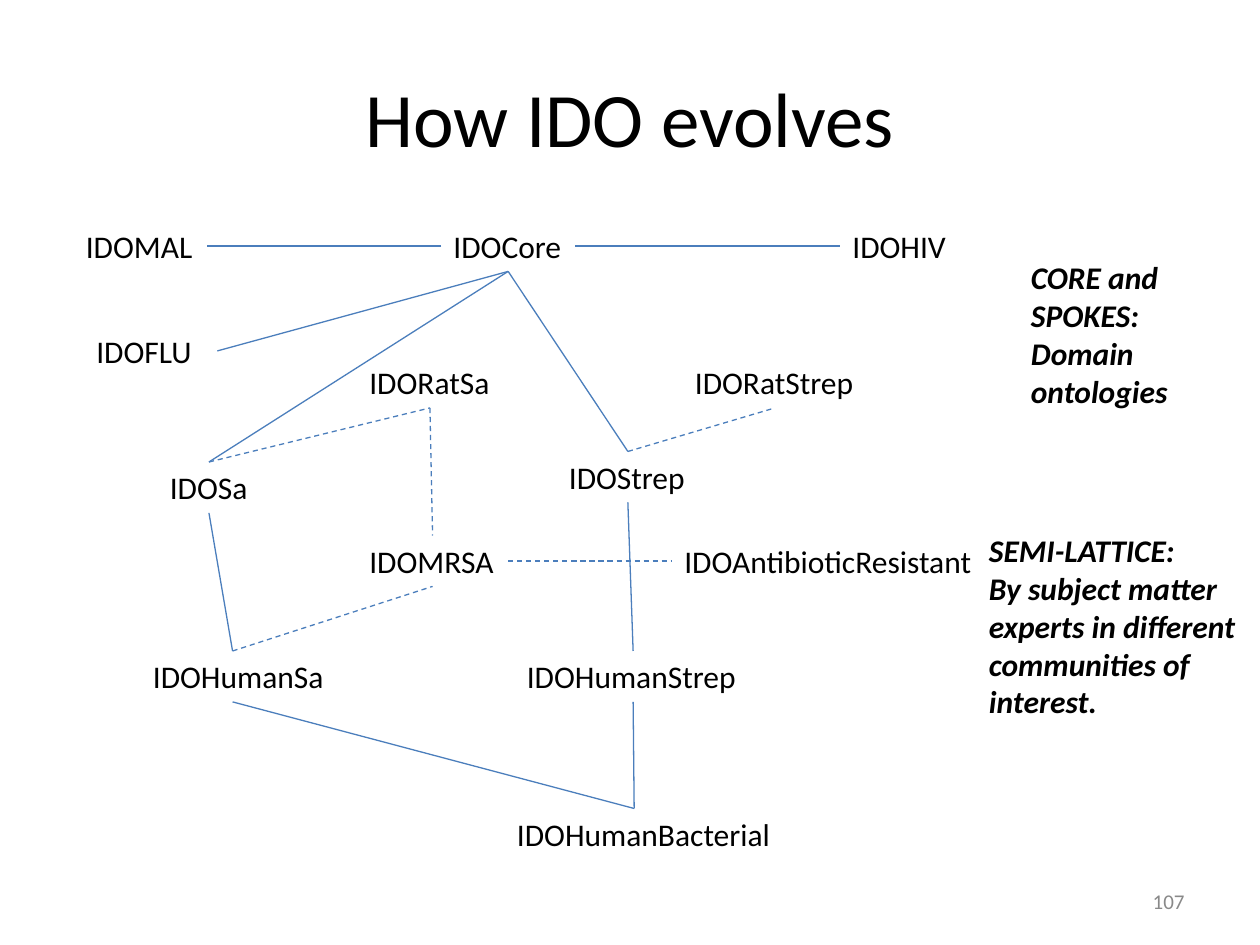
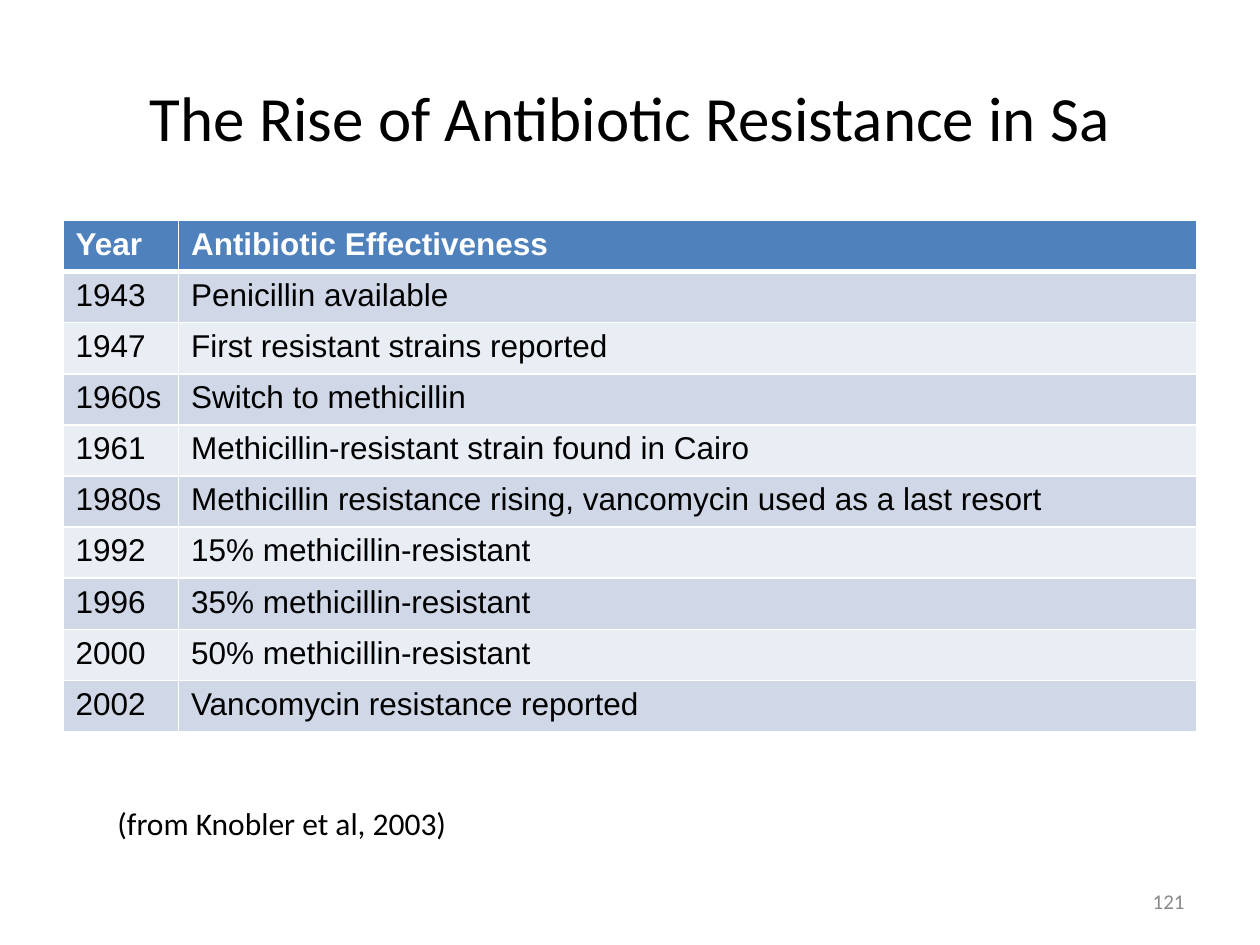
from dataclasses import dataclass

from lxml import etree
from pptx import Presentation
from pptx.dml.color import RGBColor
from pptx.enum.dml import MSO_LINE
from pptx.enum.shapes import MSO_CONNECTOR
from pptx.enum.text import MSO_ANCHOR, MSO_AUTO_SIZE, PP_ALIGN
from pptx.oxml.ns import qn
from pptx.util import Inches, Pt

LEFT, CENTER, RIGHT = PP_ALIGN.LEFT, PP_ALIGN.CENTER, PP_ALIGN.RIGHT
MIDDLE = MSO_ANCHOR.MIDDLE
FIT = MSO_AUTO_SIZE.SHAPE_TO_FIT_TEXT
DASH = MSO_LINE.DASH
STRAIGHT = MSO_CONNECTOR.STRAIGHT


@dataclass(frozen=True)
class Theme:
    font: str = "Calibri"
    table_font: str = "Arial"
    ink: str = "000000"
    muted: str = "898989"
    edge: str = "4B7EBC"
    header: str = "4F81BD"
    bands: tuple = ("D0D8E8", "E9EDF4")
    white: str = "FFFFFF"
    body: int = 18
    small: int = 12
    edge_width: float = 0.75


T = Theme()
GRID = Inches(1) // 12  # the slide is 120 columns by 90 rows
LINE_H = 4.85


def add_text(s, text, box, size=T.body, color=T.ink, align=LEFT,
             strong=False, wrap=True, fit=True, indent=0):
    """Place text in a box given as grid column, row, width and height."""
    sp = s.shapes.add_textbox(*(int(v * GRID) for v in box))
    tf = sp.text_frame
    tf.text = text
    tf.word_wrap = wrap
    if fit:
        tf.auto_size = FIT
    else:
        tf.vertical_anchor = MIDDLE
    tf.margin_left += int(indent * GRID)
    for p in tf.paragraphs:
        p.alignment = align
        for r in p.runs:
            r.font.name, r.font.size = T.font, Pt(size)
            r.font.color.rgb = RGBColor.from_string(color)
            if strong:
                r.font.bold = r.font.italic = True


def add_slide(prs, title, title_size, number):
    s = prs.slides.add_slide(prs.slide_layouts[6])
    add_text(s, title, (6, 3.6, 108, 15), title_size, align=CENTER, fit=False)
    add_text(s, number, (86, 83.4, 28, 4.8), T.small, T.muted, RIGHT, fit=False)
    return s


prs = Presentation()
prs.slide_width, prs.slide_height = 120 * GRID, 90 * GRID

# Ontology graph
s = add_slide(prs, "How IDO evolves", 44, "107")

# name: column, row, width, text indent
nodes = {
    "IDOCore": (42, 21, 12.8, 0),
    "IDOSa": (15, 44, 9.8, 0),
    "IDOHumanSa": (12, 62, 20.3, 1.36),
    "IDORatSa": (34, 34, 13.9, 0),
    "IDOStrep": (53, 43, 13.6, 0),
    "IDORatStrep": (65, 34, 17.6, 0),
    "IDOHumanStrep": (49, 62, 22.6, 0),
    "IDOMRSA": (34, 51, 14.4, 0),
    "IDOHumanBacterial": (46, 77, 28.8, 2.04),
    "IDOAntibioticResistant": (64, 51, 30, 0),
    "IDOMAL": (7, 21, 12.7, 0),
    "IDOHIV": (80, 21, 11.4, 0),
    "IDOFLU": (8, 31, 12.7, 0),
}
solid_edges = [
    ("IDOSa", "bottom", "IDOHumanSa", "top"),
    ("IDOCore", "bottom", "IDOSa", "top"),
    ("IDOCore", "bottom", "IDOStrep", "top"),
    ("IDOCore", "bottom", "IDOFLU", "right"),
    ("IDOCore", "left", "IDOMAL", "right"),
    ("IDOHIV", "left", "IDOCore", "right"),
    ("IDOStrep", "bottom", "IDOHumanStrep", "top"),
    ("IDOHumanSa", "bottom", "IDOHumanBacterial", "top"),
    ("IDOHumanStrep", "bottom", "IDOHumanBacterial", "top"),
]
dashed_edges = [
    ("IDOSa", "top", "IDORatSa", "bottom"),
    ("IDOStrep", "top", "IDORatStrep", "bottom"),
    ("IDOHumanSa", "top", "IDOMRSA", "bottom"),
    ("IDORatSa", "bottom", "IDOMRSA", "top"),
    ("IDOMRSA", "right", "IDOAntibioticResistant", "left"),
]
# Each side's midpoint as a share of the node's width and height
sides = {"top": (0.5, 0), "bottom": (0.5, 1), "left": (0, 0.5), "right": (1, 0.5)}

for name, (col, row, width, indent) in nodes.items():
    add_text(s, name, (col, row, width, LINE_H), wrap=False, indent=indent)

for start, start_side, end, end_side in solid_edges + dashed_edges:
    points = []
    for name, side in ((start, start_side), (end, end_side)):
        col, row, width, _ = nodes[name]
        fx, fy = sides[side]
        points += [int((col + fx * width) * GRID), int((row + fy * LINE_H) * GRID)]
    c = s.shapes.add_connector(STRAIGHT, *points)
    c.line.color.rgb = RGBColor.from_string(T.edge)
    c.line.width = Pt(T.edge_width)
    if (start, start_side, end, end_side) in dashed_edges:
        c.line.dash_style = DASH
    etree.SubElement(c._element.spPr, qn("a:effectLst"))

add_text(s, "CORE and\nSPOKES:\nDomain\nontologies", (97, 24, 16, 15.7),
         strong=True, wrap=False)
add_text(s, "SEMI-LATTICE:\nBy subject matter experts in different communities of interest.",
         (93, 50, 27, 19.4), strong=True)

# Resistance timeline
s = add_slide(prs, "The Rise of Antibiotic Resistance in Sa", 36, "121")

timeline = [
    ("Year", "Antibiotic Effectiveness"),
    ("1943", "Penicillin available"),
    ("1947", "First resistant strains reported"),
    ("1960s", "Switch to methicillin"),
    ("1961", "Methicillin-resistant strain found in Cairo"),
    ("1980s", "Methicillin resistance rising, vancomycin used as a last resort"),
    ("1992", "15% methicillin-resistant"),
    ("1996", "35% methicillin-resistant"),
    ("2000", "50% methicillin-resistant"),
    ("2002", "Vancomycin resistance reported"),
]
row_h = int(4.87 * GRID)
tbl = s.shapes.add_table(len(timeline), 2, 6 * GRID, 21 * GRID,
                         108 * GRID, row_h * len(timeline)).table
for column, width in zip(tbl.columns, (11, 97)):
    column.width = width * GRID

for i, entry in enumerate(timeline):
    tbl.rows[i].height = row_h
    for j, text in enumerate(entry):
        cell = tbl.cell(i, j)
        cell.text = text
        font = cell.text_frame.paragraphs[0].runs[0].font
        font.name, font.size, font.bold = T.table_font, Pt(T.body), i == 0
        font.color.rgb = RGBColor.from_string(T.ink if i else T.white)
        tc_pr = cell._tc.get_or_add_tcPr()
        for tag in ("lnL", "lnR", "lnT", "lnB"):
            header_rule = (i, tag) in ((0, "lnB"), (1, "lnT"))
            ln = etree.SubElement(tc_pr, qn(f"a:{tag}"), w=str(Pt(3 if header_rule else 1)))
            fill = etree.SubElement(ln, qn("a:solidFill"))
            etree.SubElement(fill, qn("a:srgbClr"), val=T.white)
        cell.fill.solid()
        cell.fill.fore_color.rgb = RGBColor.from_string(
            T.bands[(i - 1) % 2] if i else T.header)

add_text(s, "(from Knobler et al, 2003)", (10, 76, 34.2, LINE_H), wrap=False)

prs.save("out.pptx")
